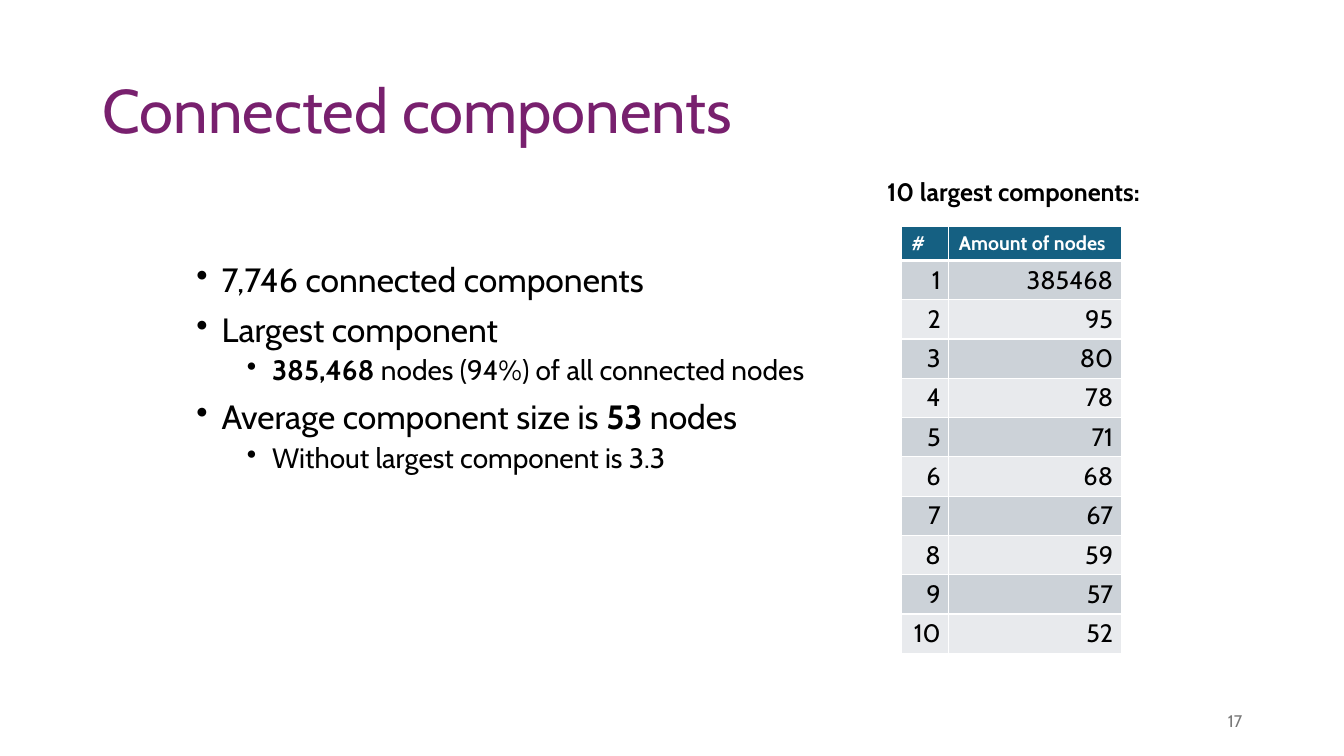
from pptx import Presentation
from pptx import util as u
from pptx.dml.color import RGBColor
from pptx.enum import text as t
from pptx.oxml import parse_xml
from pptx.oxml.ns import nsdecls

FONT = "Cabin"
PURPLE = RGBColor(0x78, 0x20, 0x6E)
BLACK = RGBColor(0, 0, 0)
WHITE = RGBColor(0xFF, 0xFF, 0xFF)
GRAY = RGBColor(0x79, 0x79, 0x79)
TEAL = RGBColor(0x15, 0x60, 0x82)
DARK = RGBColor(0xCC, 0xD2, 0xD8)
LIGHT = RGBColor(0xE8, 0xEA, 0xED)

# Level and text; asterisks enclose bold words
POINTS = [
    (0, "7,746 connected components"),
    (0, "Largest component"),
    (1, "*385,468* nodes (94%) of all connected nodes"),
    (0, "Average component size is *53* nodes"),
    (1, "Without largest component is 3.3"),
]
HEADS = ["#", "Amount of nodes"]
NODES = [385468, 95, 80, 78, 71, 68, 67, 59, 57, 52]


def style(run, size, color, bold=False):
    font = run.font
    font.name, font.size, font.bold = FONT, u.Pt(size), bold
    font.color.rgb = color


def add_box(slide, left, top, width, height, anchor=t.MSO_ANCHOR.TOP):
    box = slide.shapes.add_textbox(
        u.Inches(left), u.Inches(top), u.Inches(width), u.Inches(height))
    frame = box.text_frame
    frame.word_wrap = True
    frame.vertical_anchor = anchor
    return frame


def set_text(frame, words, size, color, bold=False, align=t.PP_ALIGN.LEFT):
    frame.text = words
    para = frame.paragraphs[0]
    para.alignment = align
    style(para.runs[0], size, color, bold)
    return para


def add_list(slide, points):
    frame = add_box(slide, 1.85, 2.56, 7.09, 4.33)
    for i, (level, words) in enumerate(points):
        para = frame.add_paragraph() if i else frame.paragraphs[0]
        para.level = level
        para.line_spacing = 0.9
        para.space_before = u.Pt(5 if level else 10)
        for j, part in enumerate(words.split("*")):
            if part:
                run = para.add_run()
                run.text = part
                style(run, 20 if level else 24, BLACK, j % 2 == 1)
        # Hanging bullet
        props = para._p.get_or_add_pPr()
        props.set("marL", str(u.Inches(0.25 + 0.5 * level)))
        props.set("indent", str(u.Inches(-0.25)))
        props.append(parse_xml(f'<a:buChar {nsdecls("a")} char="•"/>'))


def set_edges(cell, top, bottom):
    props = cell._tc.get_or_add_tcPr()
    for side, width in zip("LRTB", (1, 1, top, bottom)):
        props.append(parse_xml(
            f'<a:ln{side} {nsdecls("a")} w="{u.Pt(width)}"><a:solidFill>'
            f'<a:srgbClr val="{WHITE}"/></a:solidFill></a:ln{side}>'))


def fill_cell(cell, words, row):
    head = row == 0
    set_edges(cell, 3 if row == 1 else 1, 3 if head else 1)
    cell.fill.solid()
    if head:
        cell.fill.fore_color.rgb = TEAL
        set_text(cell.text_frame, words, 14, WHITE, True)
        return
    cell.fill.fore_color.rgb = DARK if row % 2 else LIGHT
    cell.vertical_anchor = t.MSO_ANCHOR.MIDDLE
    cell.margin_left = cell.margin_right = u.Inches(0.08)
    cell.margin_top = cell.margin_bottom = u.Inches(0.04)
    set_text(cell.text_frame, words, 18, BLACK, align=t.PP_ALIGN.RIGHT)


def add_ranks(slide):
    rows = [HEADS] + [[str(i), str(n)] for i, n in enumerate(NODES, 1)]
    table = slide.shapes.add_table(
        len(rows), 2, u.Inches(8.94), u.Inches(2.25),
        u.Inches(2.18), u.Inches(4.23)).table
    for col, width in zip(table.columns, (0.47, 1.71)):
        col.width = u.Inches(width)
    for r, row in enumerate(rows):
        table.rows[r].height = u.Inches(0.39 if r else 0.33)
        for c, words in enumerate(row):
            fill_cell(table.cell(r, c), words, r)


def main():
    deck = Presentation()
    deck.slide_width, deck.slide_height = u.Inches(13.33), u.Inches(7.5)
    slide = deck.slides.add_slide(deck.slide_layouts[6])
    middle = t.MSO_ANCHOR.MIDDLE

    # Title
    title = add_box(slide, 0.92, 0.4, 11.5, 1.45, middle)
    set_text(title, "Connected components", 44, PURPLE).line_spacing = 0.9

    # Findings
    add_list(slide, POINTS)

    # Largest components
    add_ranks(slide)
    label = add_box(slide, 8.7, 1.7, 2.99, 0.4)
    set_text(label, "10 largest components:", 18, BLACK, True)

    # Page number
    page = add_box(slide, 9.42, 6.95, 3, 0.4, middle)
    set_text(page, "17", 12, GRAY, align=t.PP_ALIGN.RIGHT)

    deck.save("out.pptx")


if __name__ == "__main__":
    main()
